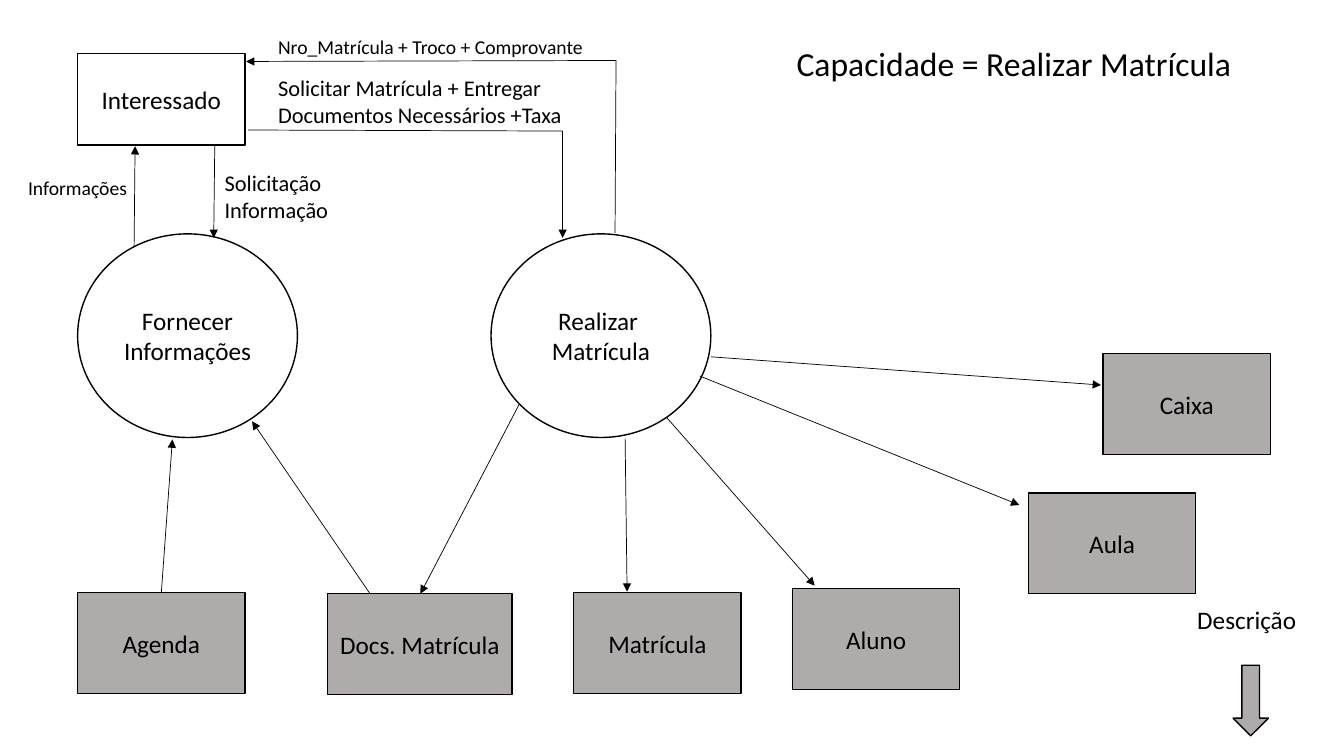
from dataclasses import dataclass

from lxml import etree
from pptx import Presentation
from pptx.dml.color import RGBColor
from pptx.enum.shapes import MSO_CONNECTOR, MSO_SHAPE
from pptx.enum.text import MSO_ANCHOR, MSO_AUTO_SIZE, PP_ALIGN
from pptx.oxml.ns import qn
from pptx.util import Inches, Pt


@dataclass(frozen=True)
class Theme:
    """Colours, type sizes, line weights and shared shape sizes."""
    font: str = "Calibri"
    ink: RGBColor = RGBColor(0, 0, 0)
    paper: RGBColor = RGBColor(255, 255, 255)
    store: RGBColor = RGBColor(0xAF, 0xAB, 0xAB)
    title: int = 24
    node: int = 18
    flow: int = 16
    small_flow: int = 14
    outline: float = 1
    arrow: float = 0.5
    entity_size: tuple = (1.66, 0.91)
    process_size: tuple = (2.18, 2.02)
    store_size: tuple = (1.66, 1)


THEME = Theme()


@dataclass(frozen=True)
class Region:
    """A top-left corner from which parts are placed, in inches."""
    left: float
    top: float

    def at(self, x, y):
        """Return a slide position for a point inside the region."""
        return Inches(self.left + x), Inches(self.top + y)


def write(frame, text, size, align):
    """Fill a text frame, one paragraph per line of text."""
    frame.word_wrap = True
    frame.text = text
    for paragraph in frame.paragraphs:
        paragraph.alignment = align
        font = paragraph.font
        font.name, font.size = THEME.font, Pt(size)
        font.color.rgb = THEME.ink


def add_node(slide, region, kind, x, y, size, fill, text=""):
    """Add an outlined shape with centred text."""
    node = slide.shapes.add_shape(kind, *region.at(x, y), *map(Inches, size))
    node.shadow.inherit = False
    node.fill.solid()
    node.fill.fore_color.rgb = fill
    node.line.color.rgb = THEME.ink
    node.line.width = Pt(THEME.outline)
    if text:
        write(node.text_frame, text, THEME.node, PP_ALIGN.CENTER)
        node.text_frame.vertical_anchor = MSO_ANCHOR.MIDDLE


def add_process(slide, region, x, y, text):
    """Add a process circle."""
    add_node(slide, region, MSO_SHAPE.OVAL, x, y, THEME.process_size, THEME.paper, text)


def add_store(slide, region, x, y, text, size=THEME.store_size):
    """Add a grey data store."""
    add_node(slide, region, MSO_SHAPE.RECTANGLE, x, y, size, THEME.store, text)


def add_label(slide, region, x, y, width, height, text, size, align=PP_ALIGN.LEFT):
    """Add a free-standing label."""
    label = slide.shapes.add_textbox(*region.at(x, y), Inches(width), Inches(height))
    write(label.text_frame, text, size, align)


def add_flow(slide, region, start, end, arrow=True):
    """Draw a thin line, with an arrowhead at its end unless told otherwise."""
    flow = slide.shapes.add_connector(
        MSO_CONNECTOR.STRAIGHT, *region.at(*start), *region.at(*end))
    flow.line.color.rgb = THEME.ink
    flow.line.width = Pt(THEME.arrow)
    if arrow:
        etree.SubElement(flow.line._get_or_add_ln(), qn("a:tailEnd"), type="triangle")
    etree.SubElement(flow._element.spPr, qn("a:effectLst"))


def place_title(slide, region):
    """Move and format the title placeholder."""
    title = slide.shapes.title
    title.left, title.top = region.at(0, 0)
    title.width, title.height = Inches(4.6), Inches(0.5)
    frame = title.text_frame
    write(frame, "Capacidade = Realizar Matrícula", THEME.title, PP_ALIGN.LEFT)
    frame.auto_size = MSO_AUTO_SIZE.NONE
    frame.vertical_anchor = MSO_ANCHOR.TOP


def draw_information(slide, region):
    """Draw the applicant, the information process and its agenda."""
    add_node(slide, region, MSO_SHAPE.RECTANGLE, 0, 0,
             THEME.entity_size, THEME.paper, "Interessado")
    add_process(slide, region, 0, 1.79, "Fornecer Informações")
    add_store(slide, region, 0, 5.35, "Agenda")
    for start, end in [((1.36, 0.92), (1.35, 1.83)), ((0.56, 1.92), (0.57, 0.92)),
                       ((0.83, 5.35), (0.94, 3.83)), ((2.9, 5.36), (1.73, 3.65))]:
        add_flow(slide, region, start, end)
    add_label(slide, region, -0.59, 1.17, 1.91, 0.34, "Informações", THEME.small_flow)
    add_label(slide, region, 1.36, 1.1, 3, 0.64,
              "Solicitação\u00a0\nInformação", THEME.flow)


def draw_exchange(slide, region):
    """Draw the request and reply between applicant and enrolment."""
    reply_corner, request_corner = (3.67, 0.3), (3.14, 1)
    add_flow(slide, region, reply_corner, (3.66, 2.01), arrow=False)
    add_flow(slide, region, reply_corner, (0, 0.31))
    add_flow(slide, region, (0.02, 0.99), request_corner, arrow=False)
    add_flow(slide, region, request_corner, (3.14, 2.06))
    add_label(slide, region, 0.22, 0, 3.7, 0.34,
              "Nro_Matrícula + Troco + Comprovante", THEME.small_flow)
    add_label(slide, region, 0.22, 0.39, 3.3, 0.64,
              "Solicitar Matrícula + Entregar Documentos Necessários +Taxa", THEME.flow)


def draw_enrolment(slide, region):
    """Draw the enrolment process and the stores it feeds."""
    add_process(slide, region, 0, 0, "Realizar\u00a0\nMatrícula")
    add_store(slide, region, -1.62, 3.57, "Docs. Matrícula", (1.83, 1))
    for x, y, name in [(0.82, 3.56, "Matrícula"), (2.99, 3.52, "Aluno"),
                       (5.33, 2.57, "Aula"), (6.07, 1.19, "Caixa")]:
        add_store(slide, region, x, y, name)
    for start, end in [((0.28, 1.69), (-0.7, 3.57)), ((1.33, 2.03), (1.35, 3.55)),
                       ((1.74, 1.82), (3.21, 3.49)), ((2.07, 1.41), (5.24, 2.69)),
                       ((2.18, 1.22), (6.05, 1.5))]:
        add_flow(slide, region, start, end)


def draw_description(slide, region):
    """Draw the pointer to the description."""
    add_label(slide, region, 0, 0, 1.29, 0.4, "Descrição", THEME.node, PP_ALIGN.CENTER)
    add_node(slide, region, MSO_SHAPE.DOWN_ARROW, 0.51, 0.65, (0.35, 0.7), THEME.store)


def main():
    """Build and save the slide."""
    deck = Presentation()
    deck.slide_width, deck.slide_height = Inches(13.33), Inches(7.5)
    slide = deck.slides.add_slide(deck.slide_layouts.get_by_name("Title Only"))
    place_title(slide, Region(7.8, 0.38))
    draw_information(slide, Region(0.77, 0.53))
    draw_exchange(slide, Region(2.44, 0.3))
    draw_enrolment(slide, Region(4.87, 2.32))
    draw_description(slide, Region(11.72, 5.95))
    deck.save("out.pptx")


main()
